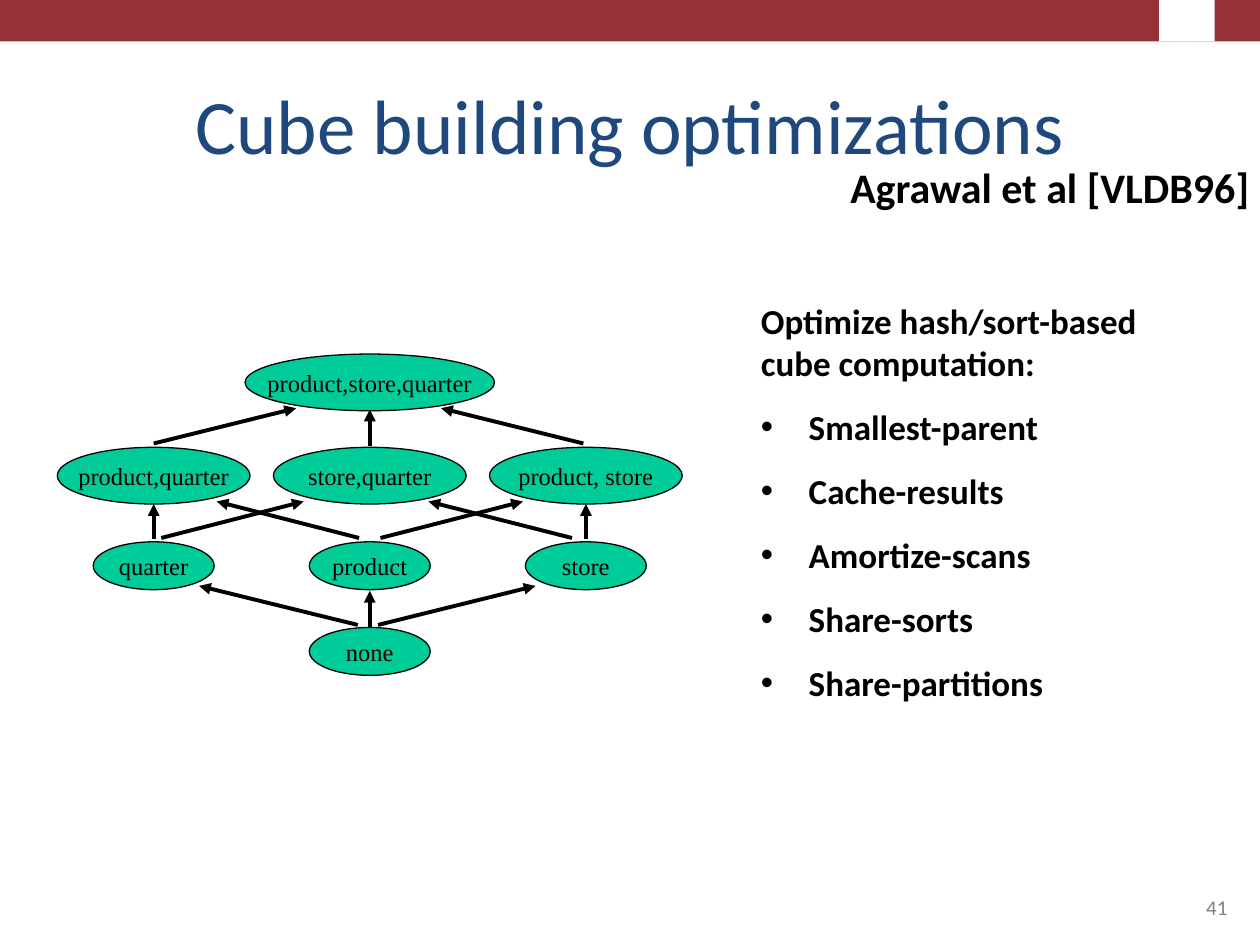
from lxml import etree
from pptx import Presentation
from pptx.dml.color import RGBColor
from pptx.enum import shapes, text
from pptx.oxml.ns import qn
from pptx.util import Inches, Pt

COLORS = {"band": "963237", "title": "1F497D", "node": "00CC99",
          "ink": "000000", "number": "808080", "paper": "FFFFFF"}

TITLE = "Cube building optimizations"
CITATION = "Agrawal et al [VLDB96]"
PAGE_NUMBER = "41"
INTRO = "Optimize hash/sort-based \ncube computation:"
METHODS = ["Smallest-parent", "Cache-results", "Amortize-scans",
           "Share-sorts", "Share-partitions"]

# Lattice rows: top, node width, node height, {column: label}
ROWS = [
    (2.81, 1.98, 0.45, {1: "product,store,quarter"}),
    (3.55, 1.53, 0.45, {0: "product,quarter", 1: "store,quarter",
                        2: "product, store"}),
    (4.30, 0.96, 0.38, {0: "quarter", 1: "product", 2: "store"}),
    (4.98, 0.96, 0.38, {1: "none"}),
]
COLUMNS = [1.22 + 1.715 * column for column in range(3)]

# Arrows: (start y, end y) and the (start x, end x) pairs at that height
ARROWS = {
    (4.96, 4.65): [(2.84, 1.58), (3.00, 4.25)],
    (4.27, 3.98): [(1.28, 2.41), (2.85, 1.72), (3.02, 4.15), (4.54, 3.40)],
    (3.52, 3.24): [(1.22, 2.35), (4.63, 3.50)],
    (4.98, 4.69): [(COLUMNS[1], COLUMNS[1])],
    (4.28, 4.00): [(COLUMNS[0], COLUMNS[0]), (COLUMNS[2], COLUMNS[2])],
    (3.54, 3.25): [(COLUMNS[1], COLUMNS[1])],
}


def rgb(name):
    return RGBColor.from_string(COLORS[name])


def write(box, lines, size=20, font="Calibri", color="ink", bold=False,
          align="LEFT", anchor="TOP", wrap=True, before=0, bullets_from=None):
    frame = box.text_frame
    frame.word_wrap = wrap
    frame.vertical_anchor = getattr(text.MSO_ANCHOR, anchor)
    for index, line in enumerate(lines):
        para = frame.add_paragraph() if index else frame.paragraphs[0]
        if bullets_from is not None and index >= bullets_from:
            props = para._p.get_or_add_pPr()
            props.set("marL", str(Inches(0.38)))
            props.set("indent", str(-Inches(0.38)))
            etree.SubElement(props, qn("a:buFont"), typeface="Arial")
            etree.SubElement(props, qn("a:buChar"), char="•")
        para.alignment = getattr(text.PP_ALIGN, align)
        para.space_before = Pt(before if index else 0)
        for number, piece in enumerate(line.split("\n")):
            if number:
                para.add_line_break()
            span = para.add_run()
            span.text = piece
            span.font.size, span.font.name = Pt(size), font
            span.font.bold = bold
            span.font.color.rgb = rgb(color)


def add_text(page, place, lines, **style):
    write(page.shapes.add_textbox(*map(Inches, place)), lines, **style)


def add_shape(page, kind, place, fill, outline=None):
    shape = page.shapes.add_shape(kind, *map(Inches, place))
    shape.shadow.inherit = False
    shape.fill.solid()
    shape.fill.fore_color.rgb = rgb(fill)
    if outline:
        shape.line.color.rgb = rgb(outline)
        shape.line.width = Pt(0.75)
    else:
        shape.line.fill.background()
    return shape


def add_arrow(page, start, end):
    arrow = page.shapes.add_connector(shapes.MSO_CONNECTOR.STRAIGHT,
                                      *map(Inches, start + end))
    arrow.line.color.rgb = rgb("ink")
    arrow.line.width = Pt(2.25)
    etree.SubElement(arrow.line._get_or_add_ln(), qn("a:tailEnd"),
                     type="triangle")
    etree.SubElement(arrow._element.spPr, qn("a:effectLst"))


def main():
    deck = Presentation()
    deck.slide_width, deck.slide_height = Inches(10), Inches(7.5)
    page = deck.slides.add_slide(deck.slide_layouts[6])
    kinds = shapes.MSO_SHAPE

    # Top band with a plain light block near its right end
    add_shape(page, kinds.RECTANGLE, (0, 0, 10, 0.33), "band")
    add_shape(page, kinds.RECTANGLE, (9.2, 0, 0.44, 0.33), "paper")

    # Title, method list and page number
    add_text(page, (0.75, 0.32, 8.5, 1.08), [TITLE], size=44, color="title",
             align="CENTER", anchor="BOTTOM")
    add_text(page, (5.94, 2.33, 4.12, 3.37), [INTRO] + METHODS, bold=True,
             before=12.5, bullets_from=1)
    add_text(page, (7.17, 6.83, 2.67, 0.52), [PAGE_NUMBER], size=12,
             color="number", align="RIGHT", anchor="BOTTOM")

    # Lattice of groupings
    for top, width, height, labels in ROWS:
        for column, label in labels.items():
            left = COLUMNS[column] - width / 2
            node = add_shape(page, kinds.OVAL, (left, top, width, height),
                             "node", "ink")
            write(node, [label], size=14, font="Times New Roman",
                  align="CENTER", anchor="MIDDLE", wrap=False)
    for (start_y, end_y), pairs in ARROWS.items():
        for start_x, end_x in pairs:
            add_arrow(page, (start_x, start_y), (end_x, end_y))

    # Citation
    add_text(page, (6.65, 1.23, 3.49, 0.5), [CITATION], size=24, bold=True)

    deck.save("out.pptx")


if __name__ == "__main__":
    main()
